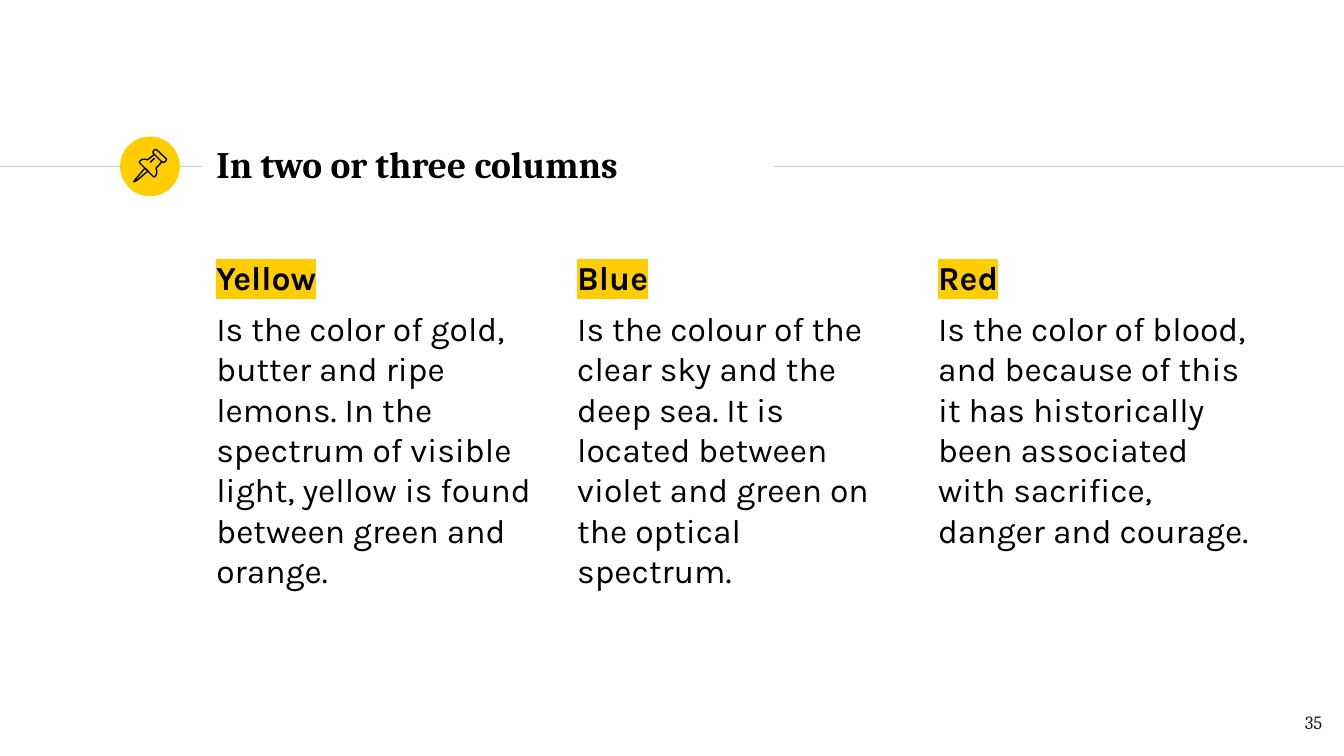
from lxml import etree
from pptx import Presentation
from pptx.dml.color import RGBColor
from pptx.enum import shapes, text
from pptx.oxml import ns
from pptx.util import Cm, Pt

COLORS = {"yellow": "FFCD00", "rule": "CCCCCC", "black": "000000", "number": "1D1D1B"}
HEADING_FONT, BODY_FONT = "Cambria", "Karla"
RULE_Y = 3.15

COLUMNS = [
    ("Yellow", "Is the color of gold, butter and ripe lemons. In the spectrum of "
               "visible light, yellow is found between green and orange."),
    ("Blue", "Is the colour of the clear sky and the deep sea. It is located between "
             "violet and green on the optical spectrum."),
    ("Red", "Is the color of blood, and because of this it has historically been "
            "associated with sacrifice, danger and courage."),
]
COLUMN_LEFT, COLUMN_STEP = 3.84, 6.82

# Pin outlines in cm: (points, closed)
PIN_PARTS = [
    ([(2.74, 3.18), (2.56, 3.39), (2.53, 3.44), (2.59, 3.41), (2.8, 3.23)], True),
    ([(2.92, 2.92), (3.06, 3.06), (3.1, 3.07), (3.14, 3.04), (3.15, 3.01),
      (2.96, 2.83), (2.92, 2.83), (2.89, 2.87), (2.9, 2.9)], True),
    ([(2.92, 2.92), (2.79, 3.02), (2.75, 3.01), (2.69, 3.01), (2.64, 3.05),
      (2.64, 3.08), (2.9, 3.34), (2.93, 3.34), (2.96, 3.29), (2.96, 3.22),
      (2.95, 3.18), (3.06, 3.06)], False),
    ([(2.84, 3.07), (2.92, 2.99)], False),
]


def rgb(name):
    return RGBColor.from_string(COLORS[name])


def format_runs(paragraph, font, size, color="black", bold=False):
    for run in paragraph.runs:
        run.font.name = font
        run.font.size = Pt(size)
        run.font.bold = bold
        run.font.color.rgb = rgb(color)


def highlight(run, color):
    """Add a marker colour, which must follow the run's fill."""
    mark = etree.Element(ns.qn("a:highlight"))
    etree.SubElement(mark, ns.qn("a:srgbClr"), val=COLORS[color])
    run.font._element.find(ns.qn("a:solidFill")).addnext(mark)


def set_frame(frame, anchor=text.MSO_ANCHOR.TOP):
    frame.word_wrap = True
    frame.auto_size = text.MSO_AUTO_SIZE.NONE
    frame.vertical_anchor = anchor
    frame.margin_left = frame.margin_right = Cm(0.25)
    frame.margin_top = frame.margin_bottom = Cm(0.25)


def add_rule(slide, start, end):
    rule = slide.shapes.add_connector(
        shapes.MSO_CONNECTOR.STRAIGHT, Cm(start), Cm(RULE_Y), Cm(end), Cm(RULE_Y))
    rule.line.color.rgb = rgb("rule")
    rule.line.width = Pt(0.75)
    etree.SubElement(rule._element.spPr, ns.qn("a:effectLst"))


def add_badge(slide):
    badge = slide.shapes.add_shape(
        shapes.MSO_SHAPE.OVAL, Cm(2.27), Cm(2.58), Cm(1.13), Cm(1.13))
    badge.shadow.inherit = False
    badge.fill.solid()
    badge.fill.fore_color.rgb = rgb("yellow")
    badge.line.fill.background()


def add_pin(slide):
    pin = slide.shapes.add_group_shape()
    for points, closed in PIN_PARTS:
        start, *rest = [(Cm(x), Cm(y)) for x, y in points]
        builder = pin.shapes.build_freeform(*start)
        builder.add_line_segments(rest, close=closed)
        outline = builder.convert_to_shape()
        outline.shadow.inherit = False
        outline.fill.background()
        outline.line.color.rgb = rgb("black")
        outline.line.width = Pt(0.75)


def add_title(slide, wording):
    title = slide.shapes.title
    title.left, title.top, title.width, title.height = Cm(3.84), Cm(2.49), Cm(10.77), Cm(1.22)
    set_frame(title.text_frame, text.MSO_ANCHOR.MIDDLE)
    title.text_frame.text = wording
    paragraph = title.text_frame.paragraphs[0]
    paragraph.alignment = text.PP_ALIGN.LEFT
    format_runs(paragraph, HEADING_FONT, 20, bold=True)


def add_column(slide, left, heading, body):
    frame = slide.shapes.add_textbox(Cm(left), Cm(4.6), Cm(6.48), Cm(8.66)).text_frame
    set_frame(frame)
    frame.text = f"{heading}\n{body}"
    for paragraph in frame.paragraphs:
        paragraph.space_before = Pt(6)
    heading_paragraph, body_paragraph = frame.paragraphs
    format_runs(heading_paragraph, BODY_FONT, 18, bold=True)
    highlight(heading_paragraph.runs[0], "yellow")
    format_runs(body_paragraph, BODY_FONT, 18)


def add_slide_number(slide, number):
    frame = slide.shapes.add_textbox(Cm(23.72), Cm(13.18), Cm(1.52), Cm(1.09)).text_frame
    set_frame(frame)
    frame.text = number
    frame.paragraphs[0].alignment = text.PP_ALIGN.RIGHT
    format_runs(frame.paragraphs[0], HEADING_FONT, 10, "number")


def main():
    presentation = Presentation()
    presentation.slide_width, presentation.slide_height = Cm(25.4), Cm(14.29)
    slide = presentation.slides.add_slide(presentation.slide_layouts[5])
    add_rule(slide, 0, 3.82)
    add_badge(slide)
    add_rule(slide, 14.63, 25.4)
    add_title(slide, "In two or three columns")
    for index, (heading, body) in enumerate(COLUMNS):
        add_column(slide, COLUMN_LEFT + index * COLUMN_STEP, heading, body)
    add_pin(slide)
    add_slide_number(slide, "35")
    presentation.save("out.pptx")


if __name__ == "__main__":
    main()
